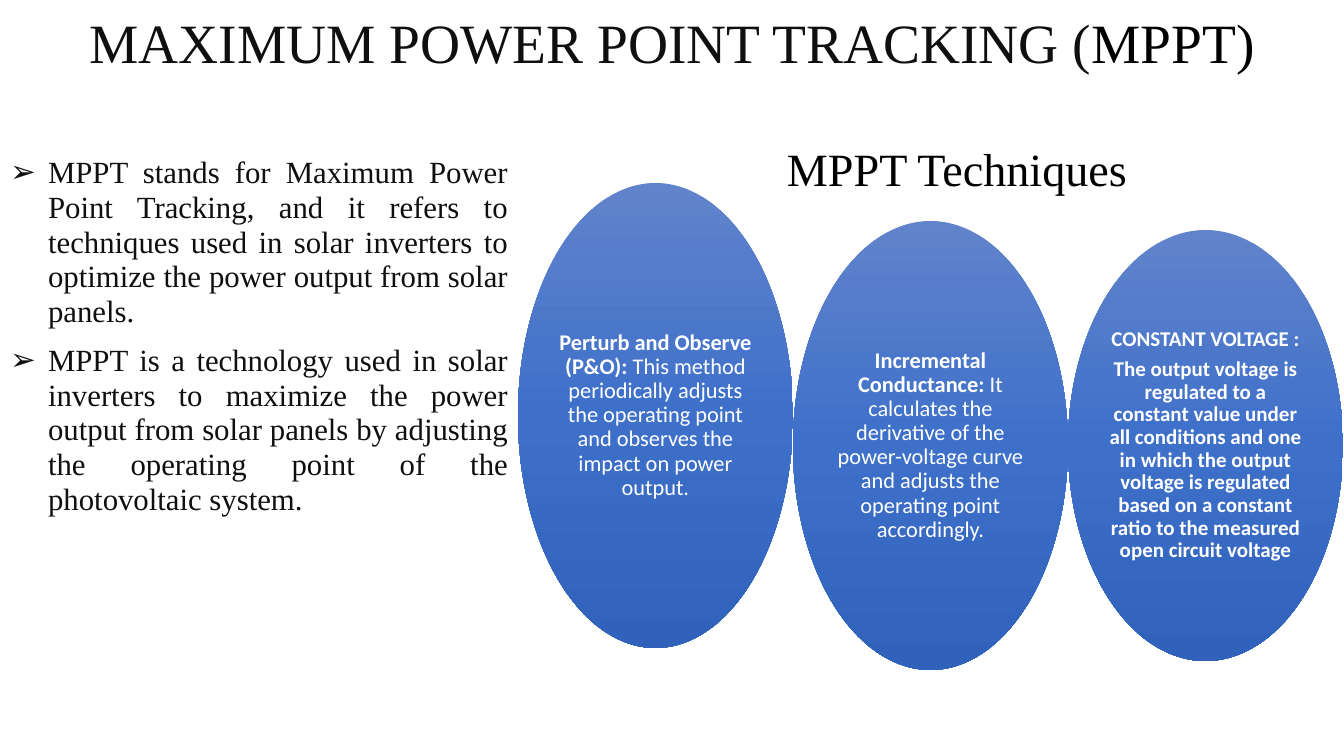
from copy import deepcopy
from dataclasses import dataclass

from lxml import etree
from pptx import Presentation
from pptx.dml.color import RGBColor
from pptx.enum.shapes import MSO_SHAPE
from pptx.enum.text import MSO_ANCHOR, MSO_AUTO_SIZE, PP_ALIGN
from pptx.oxml.ns import qn
from pptx.slide import Slide
from pptx.text.text import TextFrame, _Paragraph, _Run
from pptx.util import Emu, Pt

OVAL = MSO_SHAPE.OVAL
CENTER, JUSTIFY, LEFT = PP_ALIGN.CENTER, PP_ALIGN.JUSTIFY, PP_ALIGN.LEFT
MIDDLE, TOP = MSO_ANCHOR.MIDDLE, MSO_ANCHOR.TOP
NO_AUTOFIT = MSO_AUTO_SIZE.NONE

SLIDE_WIDTH, SLIDE_HEIGHT = 1344, 756
EMU_PER_PX = 12192000 / SLIDE_WIDTH
OVAL_LEFT, OVAL_WIDTH = 518, 275
BULLET_INDENT = 38


@dataclass(frozen=True)
class Theme:
    serif: str = "Times New Roman"
    sans: str = "Calibri"
    black: str = "000000"
    ink: str = "0F0F0F"
    white: str = "FFFFFF"
    oval_top: str = "6183CB"
    oval_middle: str = "3E70CA"
    oval_bottom: str = "3062BB"
    title_size: float = 39.6
    heading_size: float = 33
    body_size: float = 22


@dataclass(frozen=True)
class Phrase:
    text: str
    bold: bool = False


@dataclass(frozen=True)
class Technique:
    top: int
    height: int
    size: float
    paragraphs: tuple[tuple[Phrase, ...], ...]


THEME = Theme()

TITLE = (("MAXIMUM POWER POINT TRACKING (", THEME.ink), ("MPPT)", THEME.black))

EXPLANATIONS = (
    "MPPT stands for Maximum Power Point Tracking, and it refers to techniques "
    "used in solar inverters to optimize the power output from solar panels.",
    "MPPT is a technology used in solar inverters to maximize the power output "
    "from solar panels by adjusting the operating point of the photovoltaic system.",
)

TECHNIQUES = (
    Technique(183, 465, 16, ((
        Phrase("Perturb and Observe (P&O):", True),
        Phrase(" This method periodically adjusts the operating point and "
               "observes the impact on power output."),
    ),)),
    Technique(221, 449, 16, ((
        Phrase("Incremental Conductance:", True),
        Phrase(" It calculates the derivative of the power-voltage curve and "
               "adjusts the operating point accordingly."),
    ),)),
    Technique(230, 431, 15, (
        (Phrase("CONSTANT VOLTAGE :", True),),
        (Phrase("The output voltage is regulated to a constant value under all "
                "conditions and one in which the output voltage is regulated based "
                "on a constant ratio to the measured open circuit voltage", True),),
    )),
)


def px(length: int) -> Emu:
    return Emu(round(length * EMU_PER_PX))


def place(shape, left: int, top: int, width: int, height: int) -> None:
    shape.left, shape.top = px(left), px(top)
    shape.width, shape.height = px(width), px(height)


def style_run(run: _Run, face: str, size: float, color: str, bold: bool = False) -> None:
    run.font.name = face
    run.font.size = Pt(size)
    run.font.bold = bold
    run.font.color.rgb = RGBColor.from_string(color)


def prepare_frame(frame: TextFrame, anchor: MSO_ANCHOR) -> None:
    frame.word_wrap = True
    frame.auto_size = NO_AUTOFIT
    frame.vertical_anchor = anchor


def add_arrow_bullet(paragraph: _Paragraph) -> None:
    properties = paragraph._p.get_or_add_pPr()
    properties.set("marL", str(px(BULLET_INDENT)))
    properties.set("indent", str(-px(BULLET_INDENT)))
    etree.SubElement(properties, qn("a:buChar")).set("char", "➢")


def fill_title(slide: Slide) -> None:
    title = slide.shapes.title
    place(title, 0, 0, SLIDE_WIDTH, 92)
    prepare_frame(title.text_frame, MIDDLE)
    line = title.text_frame.paragraphs[0]
    line.alignment = CENTER
    line.line_spacing = 0.9
    for words, color in TITLE:
        run = line.add_run()
        run.text = words
        style_run(run, THEME.serif, THEME.title_size, color)


def fill_explanations(slide: Slide) -> None:
    explanations = slide.placeholders[1]
    place(explanations, 0, 151, 518, 584)
    frame = explanations.text_frame
    prepare_frame(frame, TOP)
    frame.text = "\n".join(EXPLANATIONS)
    for index, paragraph in enumerate(frame.paragraphs):
        add_arrow_bullet(paragraph)
        paragraph.alignment = JUSTIFY
        paragraph.line_spacing = 0.94
        paragraph.space_before = Pt(10 if index else 0)
        style_run(paragraph.runs[0], THEME.serif, THEME.body_size, THEME.ink)


def add_heading(slide: Slide) -> None:
    heading = slide.shapes.add_textbox(px(777), px(135), px(567), px(67))
    prepare_frame(heading.text_frame, TOP)
    heading.text_frame.text = "MPPT Techniques"
    line = heading.text_frame.paragraphs[0]
    line.alignment = LEFT
    style_run(line.runs[0], THEME.serif, THEME.heading_size, THEME.black)


def shade_oval(oval) -> None:
    oval.fill.gradient()
    oval.fill.gradient_angle = 270
    stop_list = oval._element.spPr.find(qn("a:gradFill")).find(qn("a:gsLst"))
    stop_list.insert(1, deepcopy(stop_list[0]))
    colors = (THEME.oval_top, THEME.oval_middle, THEME.oval_bottom)
    for stop, position, color in zip(oval.fill.gradient_stops, (0, 0.5, 1), colors):
        stop.position = position
        stop.color.rgb = RGBColor.from_string(color)


def add_technique(slide: Slide, index: int, technique: Technique) -> None:
    left = OVAL_LEFT + index * OVAL_WIDTH
    oval = slide.shapes.add_shape(
        OVAL, px(left), px(technique.top), px(OVAL_WIDTH), px(technique.height))
    oval.shadow.inherit = False
    oval.line.fill.background()
    shade_oval(oval)
    frame = oval.text_frame
    prepare_frame(frame, MIDDLE)
    frame.margin_left = frame.margin_right = 0
    frame.margin_top = frame.margin_bottom = 0
    for order, phrases in enumerate(technique.paragraphs):
        paragraph = frame.add_paragraph() if order else frame.paragraphs[0]
        paragraph.alignment = CENTER
        paragraph.line_spacing = 0.9
        paragraph.space_after = Pt(5)
        for phrase in phrases:
            run = paragraph.add_run()
            run.text = phrase.text
            style_run(run, THEME.sans, technique.size, THEME.white, phrase.bold)


def main() -> None:
    deck = Presentation()
    deck.slide_width, deck.slide_height = px(SLIDE_WIDTH), px(SLIDE_HEIGHT)
    slide = deck.slides.add_slide(deck.slide_layouts[1])
    fill_title(slide)
    fill_explanations(slide)
    for index, technique in enumerate(TECHNIQUES):
        add_technique(slide, index, technique)
    add_heading(slide)
    deck.save("out.pptx")


if __name__ == "__main__":
    main()
